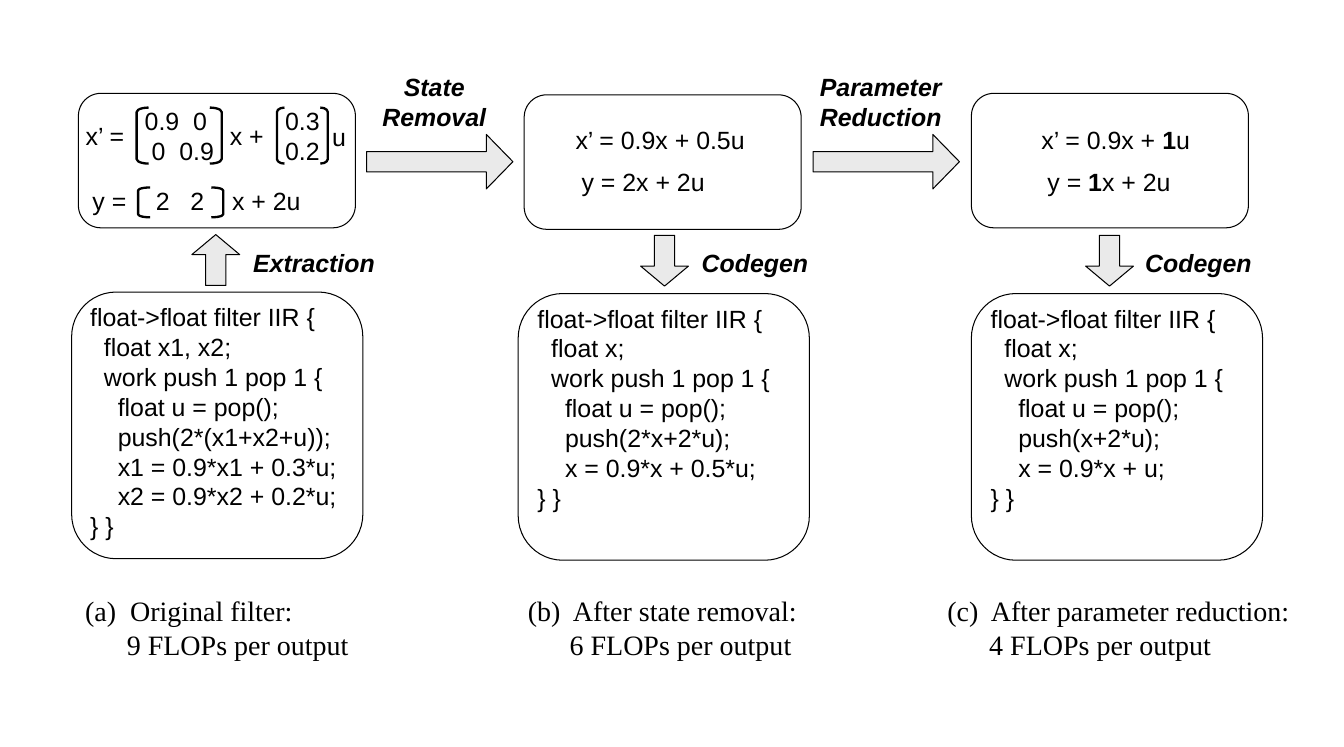
"""Slide showing a filter reduced by state removal and parameter reduction."""
from pptx import Presentation
from pptx.dml.color import RGBColor
from pptx.enum.shapes import MSO_SHAPE
from pptx.enum.text import MSO_AUTO_SIZE, PP_ALIGN
from pptx.util import Inches, Pt

ROUNDED, ARROW = MSO_SHAPE.ROUNDED_RECTANGLE, MSO_SHAPE.RIGHT_ARROW
OPEN, CLOSE = MSO_SHAPE.LEFT_BRACKET, MSO_SHAPE.RIGHT_BRACKET
LEFT, CENTER = PP_ALIGN.LEFT, PP_ALIGN.CENTER
FIT = MSO_AUTO_SIZE.SHAPE_TO_FIT_TEXT
COLORS = {"ink": "000000", "arrow": "EAEAEA"}
MATH = {"name": "Arial", "size": Pt(24)}
STEP = {**MATH, "bold": True, "italic": True}
CAPTION = {"name": "Times New Roman", "size": Pt(27)}
LINE_HEIGHT = 0.4
SLACK = 0.06

deck = Presentation()
deck.slide_width, deck.slide_height = Inches(18), Inches(10)
slide = deck.slides.add_slide(deck.slide_layouts[6])


def add_outline(kind, box, adjustments, fill=None, weight=1, rotation=0):
    """Draw an outlined preset shape."""
    shape = slide.shapes.add_shape(kind, *map(Inches, box))
    shape.shadow.inherit = False
    shape.rotation = rotation
    for index, value in enumerate(adjustments):
        shape.adjustments[index] = value
    if fill:
        shape.fill.solid()
        shape.fill.fore_color.rgb = RGBColor.from_string(COLORS[fill])
    else:
        shape.fill.background()
    shape.line.color.rgb = RGBColor.from_string(COLORS["ink"])
    shape.line.width = Pt(weight)


def add_text(text, left, top, width, style=MATH, align=LEFT, wrap=False):
    """Write lines of text; parts between bars are bold."""
    lines = text.split("\n")
    height = LINE_HEIGHT * len(lines) + 0.1
    if align == CENTER:
        left -= SLACK / 2
    box = (left, top, width + SLACK, height)
    frame = slide.shapes.add_textbox(*map(Inches, box)).text_frame
    frame.word_wrap = wrap
    frame.auto_size = FIT
    for number, line in enumerate(lines):
        paragraph = frame.add_paragraph() if number else frame.paragraphs[0]
        paragraph.alignment = align
        for part_number, part in enumerate(line.split("|")):
            run = paragraph.add_run()
            run.text = part
            run.font.color.rgb = RGBColor.from_string(COLORS["ink"])
            for attribute, value in style.items():
                setattr(run.font, attribute, value)
            if part_number % 2:
                run.font.bold = True
    return frame


stages = [
    (1.05, 1.25, 0.96, 3.91, 1.11, """float->float filter IIR {
  float x1, x2;
  work push 1 pop 1 {
    float u = pop();
    push(2*(x1+x2+u));
    x1 = 0.9*x1 + 0.3*u;
    x2 = 0.9*x2 + 0.2*u;
} }""", 1.04, 3.73, "(a)  Original filter:\n9 FLOPs per output"),
    (7.02, 1.27, 6.94, 3.93, 7.1, """float->float filter IIR {
  float x;
  work push 1 pop 1 {
    float u = pop();
    push(2*x+2*u);
    x = 0.9*x + 0.5*u;
} }""", 6.97, 3.82, "(b)  After state removal:\n6 FLOPs per output"),
    (13.01, 1.25, 13.01, 3.93, 13.17, """float->float filter IIR {
  float x;
  work push 1 pop 1 {
    float u = pop();
    push(x+2*u);
    x = 0.9*x + u;
} }""", 12.59, 4.8, "(c)  After parameter reduction:\n4 FLOPs per output"),
]
for (model_left, model_top, filter_left, filter_top, code_left, code,
     caption_left, caption_width, caption) in stages:
    add_outline(ROUNDED, (model_left, model_top, 3.71, 1.8), [0.167])
    add_outline(ROUNDED, (filter_left, filter_top, 3.9, 3.57), [0.167])
    add_text(code, code_left, filter_top + 0.08, 3.88, wrap=True)
    caption_frame = add_text(caption, caption_left, 7.9, caption_width, CAPTION)
    caption_frame.paragraphs[1]._p.get_or_add_pPr().set("marL", str(Inches(0.56)))

equations = [
    ("x’ =", 1.05, 1.57, 0.73),
    ("0.9  0\n 0  0.9", 1.84, 1.37, 1.12),
    ("x +", 2.98, 1.57, 0.74),
    ("0.3\n0.2", 3.72, 1.36, 0.66),
    ("u", 4.35, 1.58, 0.38),
    ("y =", 1.14, 2.44, 0.66),
    ("2   2", 1.99, 2.44, 0.85),
    ("x + 2u", 3.01, 2.44, 1.11),
    ("x’ = 0.9x + 0.5u", 7.61, 1.62, 2.48),
    ("y = 2x + 2u", 7.69, 2.18, 1.85),
    ("x’ = 0.9x + |1|u", 13.85, 1.62, 2.2),
    ("y = |1|x + 2u", 13.93, 2.18, 1.94),
]
for equation in equations:
    add_text(*equation)

matrices = [
    (1.83, 2.97, 1.44, 0.16, 0.75, 0.38),
    (3.71, 4.39, 1.44, 0.1, 0.75, 0.6),
    (1.85, 2.99, 2.51, 0.16, 0.4, 0.25),
]
for left, right, top, width, height, curve in matrices:
    for bracket, start in ((OPEN, left), (CLOSE, right - width)):
        add_outline(bracket, (start, top, width, height), [curve], weight=2.25)

for step, left, width, arrow_left in (
        ("State\nRemoval", 5.02, 1.59, 4.91),
        ("Parameter\nReduction", 10.88, 1.83, 10.89)):
    add_text(step, left, 0.91, width, STEP, CENTER)
    add_outline(ARROW, (arrow_left, 1.8, 1.96, 0.73), [0.373, 0.488], "arrow")

for step, left, width, arrow_left, arrow_top, rotation in (
        ("Extraction", 3.29, 1.83, 2.55, 3.16, 270),
        ("Codegen", 9.3, 1.62, 8.56, 3.17, 90),
        ("Codegen", 15.24, 1.62, 14.52, 3.17, 90)):
    add_text(step, left, 3.27, width, STEP, CENTER)
    add_outline(ARROW, (arrow_left, arrow_top, 0.68, 0.64), [0.426, 0.418], "arrow",
                rotation=rotation)

deck.save("out.pptx")
